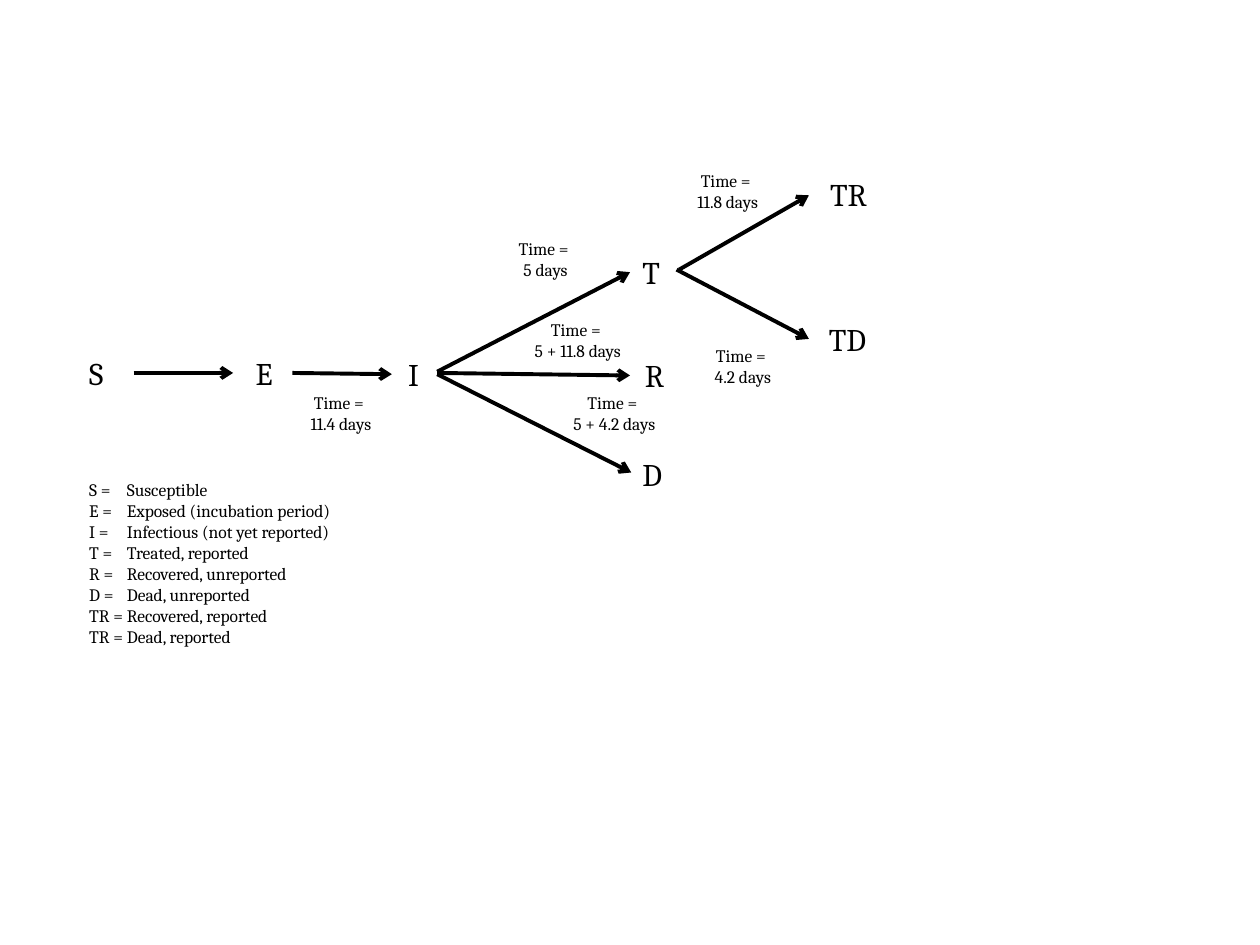
from dataclasses import dataclass

from lxml import etree
from pptx import Presentation
from pptx import util as u
from pptx.dml.color import RGBColor
from pptx.enum import shapes, text
from pptx.oxml import ns

# Grid of 0.1 inch cells: 100 columns by 75 rows
CELL = u.Inches(0.1)
COLUMNS, ROWS = 100, 75


@dataclass(frozen=True)
class Theme:
    ink: RGBColor = RGBColor(0, 0, 0)
    font: str = "Cambria"
    state_size: u.Pt = u.Pt(18)
    note_size: u.Pt = u.Pt(10)
    arrow_width: u.Pt = u.Pt(2.25)


THEME = Theme()

# State: centre column, centre row, box width
STATES = {
    "S": (7.75, 29.6, 3.3),
    "E": (21.05, 29.6, 3.5),
    "I": (32.8, 29.7, 2.8),
    "T": (51.75, 21.6, 3.5),
    "R": (52, 29.8, 3.6),
    "D": (51.85, 37.6, 3.7),
    "TR": (67.45, 15.4, 5.1),
    "TD": (67.4, 26.9, 5.2),
}

# Transition: start column and row, end column and row
TRANSITIONS = [
    (10.6, 29.6, 18.5, 29.6),
    (23.2, 29.6, 31.1, 29.7),
    (34.7, 29.5, 50, 21.6),
    (34.7, 29.6, 50, 29.8),
    (34.7, 29.7, 50.1, 37.5),
    (53.9, 21.4, 64.2, 15.5),
    (53.7, 21.4, 64.2, 26.9),
]

# Duration: centre column, centre row, box width
DURATIONS = [
    ("11.4 days", 27.05, 32.8, 7.7),
    ("5 days", 43.3, 20.6, 7),
    ("5 + 11.8 days", 45.85, 27, 9.9),
    ("5 + 4.2 days", 48.75, 32.8, 9.1),
    ("11.8 days", 57.75, 15.2, 8.1),
    ("4.2 days", 58.95, 29.1, 8.1),
]

LEGEND = [
    ("S", "Susceptible"),
    ("E", "Exposed (incubation period)"),
    ("I", "Infectious (not yet reported)"),
    ("T", "Treated, reported"),
    ("R", "Recovered, unreported"),
    ("D", "Dead, unreported"),
    ("TR", "Recovered, reported"),
    ("TR", "Dead, reported"),
]


def grid(cells):
    return round(cells * CELL)


def add_text(slide, lines, column, row, width, height, size, align):
    """Place lines of text in a box centred on a grid point."""
    box = slide.shapes.add_textbox(grid(column - width / 2), grid(row - height / 2),
                                   grid(width), grid(height))
    frame = box.text_frame
    frame.word_wrap = False
    frame.text = "\n".join(lines)
    for paragraph in frame.paragraphs:
        paragraph.alignment = align
        paragraph.font.name = THEME.font
        paragraph.font.size = size
        paragraph.font.color.rgb = THEME.ink
    return box


def add_arrow(slide, *ends):
    arrow = slide.shapes.add_connector(shapes.MSO_CONNECTOR.STRAIGHT, *map(grid, ends))
    arrow.line.color.rgb = THEME.ink
    arrow.line.width = THEME.arrow_width
    etree.SubElement(arrow.line._get_or_add_ln(), ns.qn("a:tailEnd"), type="arrow")
    etree.SubElement(arrow._element.spPr, ns.qn("a:effectLst"))


def add_legend(slide):
    lines = [f"{symbol} =\t{meaning}" for symbol, meaning in LEGEND]
    box = add_text(slide, lines, 17.25, 44.75, 22.3, 14.5,
                   THEME.note_size, text.PP_ALIGN.LEFT)
    # Align the meanings on one tab stop
    for paragraph in box.text_frame.paragraphs:
        properties = paragraph._p.get_or_add_pPr()
        stops = etree.SubElement(properties, ns.qn("a:tabLst"))
        etree.SubElement(stops, ns.qn("a:tab"), pos=str(grid(3)), algn="l")
        # Tab stops come before the default run properties
        properties.insert(0, stops)


def main():
    presentation = Presentation()
    presentation.slide_width = grid(COLUMNS)
    presentation.slide_height = grid(ROWS)
    slide = presentation.slides.add_slide(presentation.slide_layouts.get_by_name("Blank"))

    # Transitions between states
    for ends in TRANSITIONS:
        add_arrow(slide, *ends)

    # States
    for symbol, (column, row, width) in STATES.items():
        add_text(slide, [symbol], column, row, width, 4,
                 THEME.state_size, text.PP_ALIGN.LEFT)

    # Durations
    for duration, column, row, width in DURATIONS:
        add_text(slide, ["Time = ", duration], column, row, width, 4.4,
                 THEME.note_size, text.PP_ALIGN.CENTER)

    # Key to the symbols
    add_legend(slide)

    presentation.save("out.pptx")


main()
